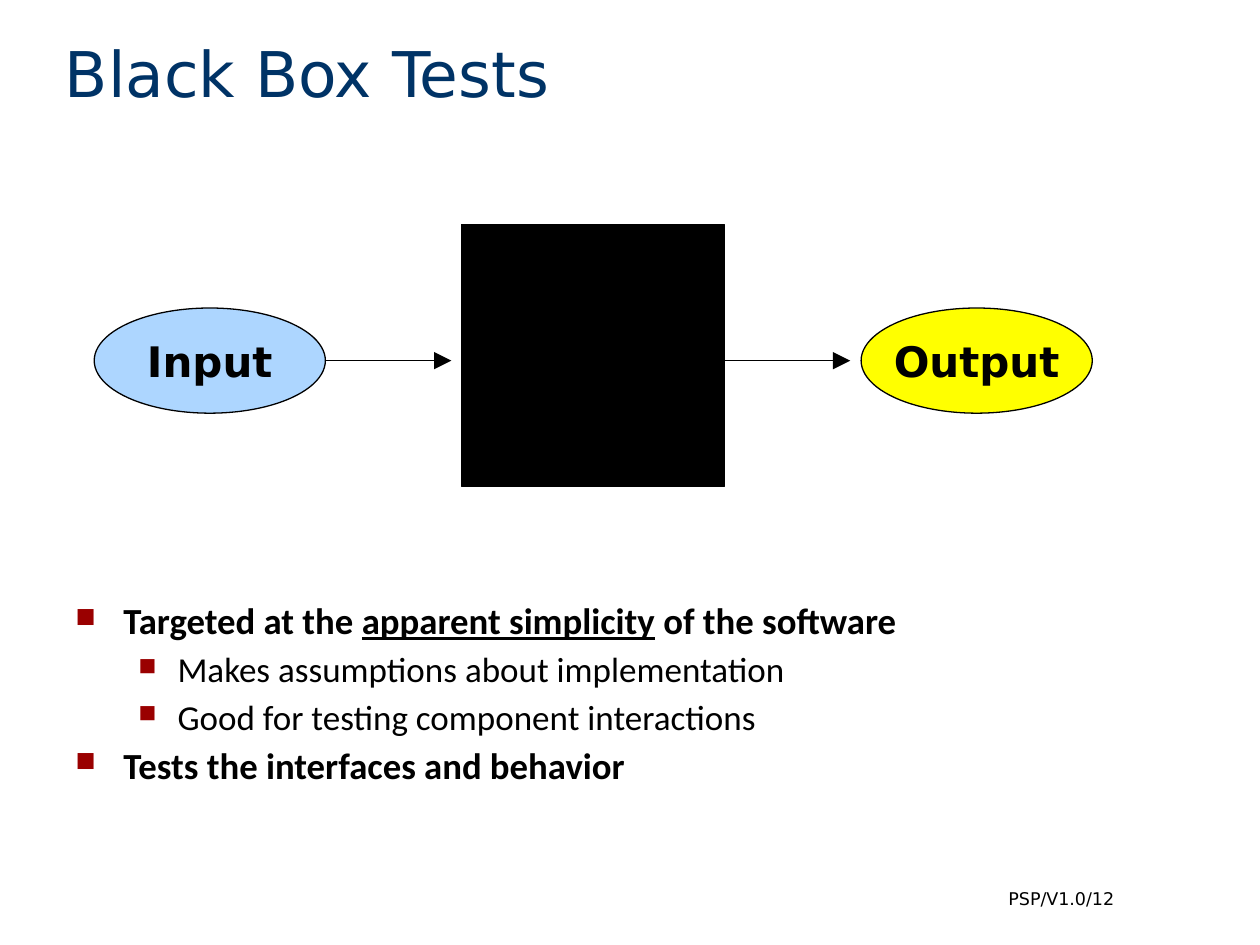
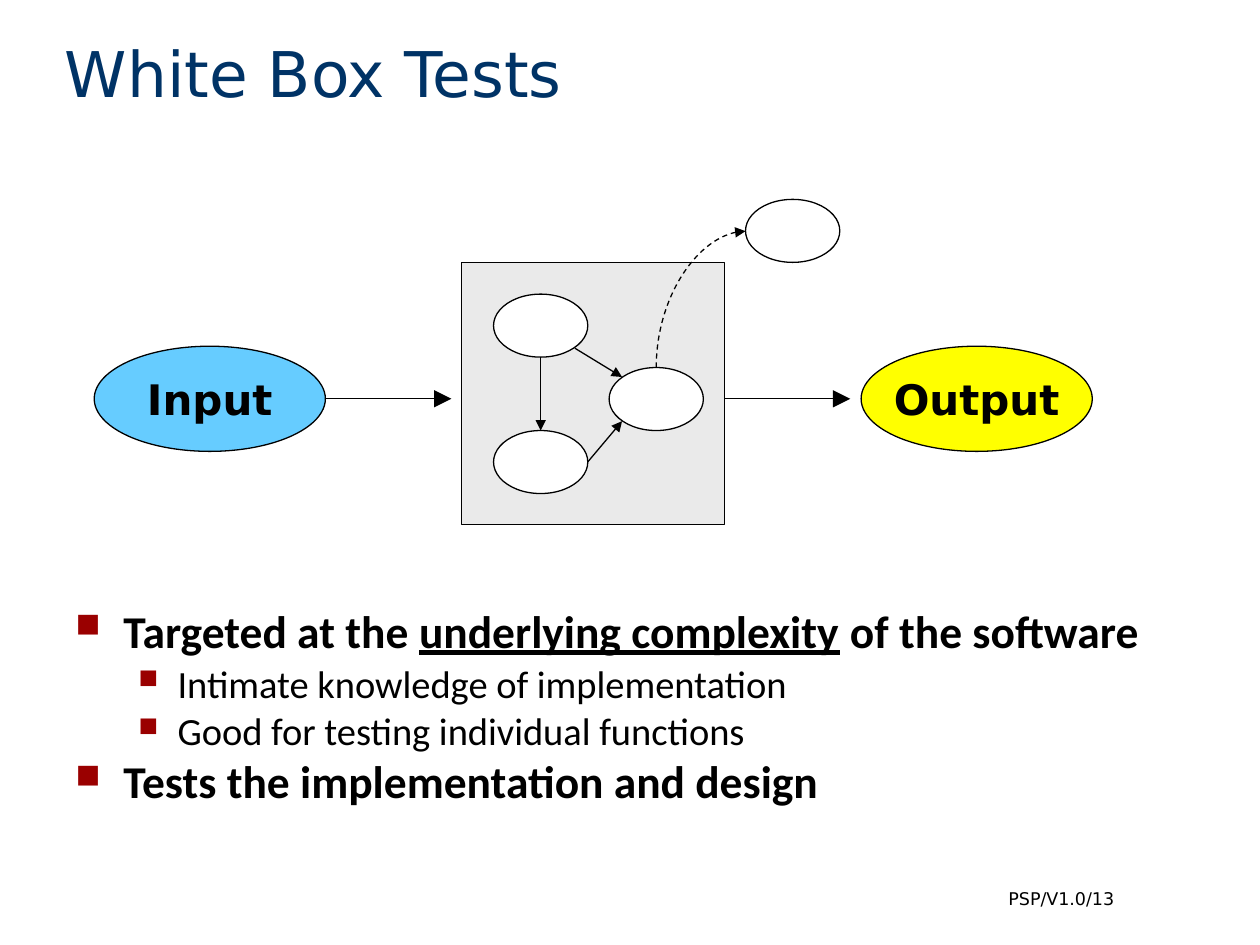
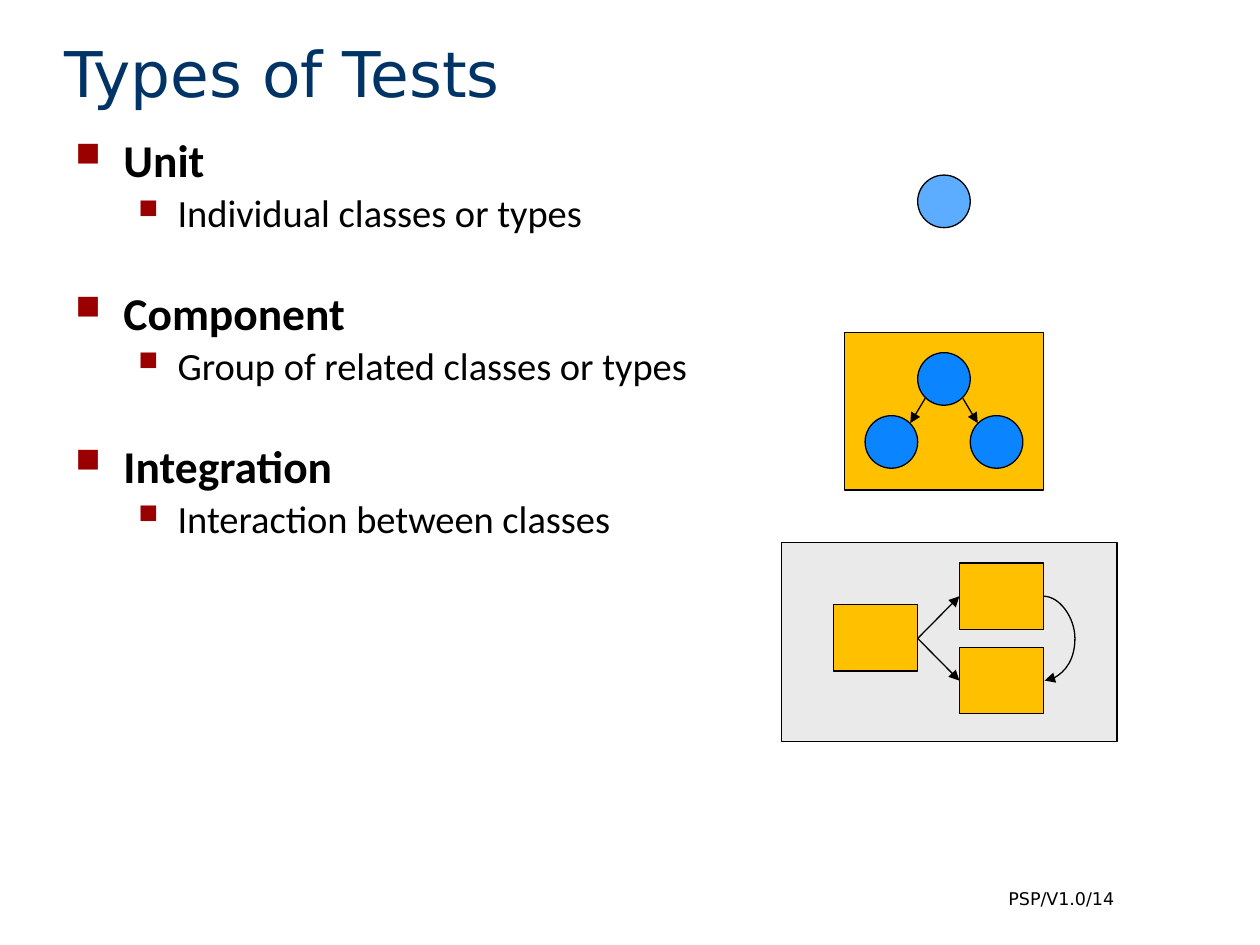
from dataclasses import dataclass

from lxml import etree
from pptx import Presentation
from pptx.dml.color import RGBColor
from pptx.enum.dml import MSO_LINE
from pptx.enum.shapes import MSO_CONNECTOR, MSO_SHAPE
from pptx.enum.text import MSO_ANCHOR, PP_ALIGN
from pptx.oxml.ns import qn
from pptx.shapes.autoshape import Shape
from pptx.shapes.connector import Connector
from pptx.slide import Slide
from pptx.text.text import Font
from pptx.util import Cm, Pt

RECT, OVAL = MSO_SHAPE.RECTANGLE, MSO_SHAPE.OVAL
STRAIGHT, CURVE = MSO_CONNECTOR.STRAIGHT, MSO_CONNECTOR.CURVE
LEFT, CENTER, RIGHT = PP_ALIGN.LEFT, PP_ALIGN.CENTER, PP_ALIGN.RIGHT
TOP, MIDDLE, BOTTOM = MSO_ANCHOR.TOP, MSO_ANCHOR.MIDDLE, MSO_ANCHOR.BOTTOM
DASH = MSO_LINE.DASH


@dataclass(frozen=True)
class Theme:
    head_font: str = "DejaVu Sans"
    body_font: str = "Calibri"
    title_size: float = 36
    label_size: float = 24
    foot_size: float = 10
    line_width: float = 0.75
    navy: str = "003366"
    black: str = "000000"
    white: str = "FFFFFF"
    red: str = "9A0000"
    gray: str = "EAEAEA"
    yellow: str = "FFFF00"
    amber: str = "FFC000"
    pale: str = "ADD6FF"
    sky: str = "66CCFF"
    light: str = "5CADFF"
    blue: str = "0A85FF"


@dataclass(frozen=True)
class Box:
    x: float
    y: float
    w: float
    h: float


@dataclass(frozen=True)
class Item:
    """One bullet; the second of its texts is underlined."""
    texts: tuple[str, ...]
    level: int = 0
    gap: float = 0


@dataclass(frozen=True)
class Body:
    """Bullet text: sizes per level, line spacing and top inset."""
    sizes: tuple[float, float]
    lines: float
    inset: float
    items: tuple[Item, ...]


Point = tuple[float, float]
THEME = Theme()
TITLE = Box(1.06, 0.56, 22.68, 1.78)
BODY = Box(1.27, 2.74, 23.16, 14.81)
FOOT = Box(18.9, 17.78, 3.81, 0.69)
INDENTS = ((0.97, 0.97), (2.06, 0.79))
MARKS = ("75000", "70000")


# Text
def style(font: Font, name: str, size: float, color: str, bold: bool = False) -> None:
    font.name, font.size, font.bold = name, Pt(size), bold
    font.color.rgb = RGBColor.from_string(color)


def add_text(slide: Slide, box: Box, text: str, size: float, color: str,
             align: PP_ALIGN = LEFT, anchor: MSO_ANCHOR = TOP) -> None:
    frame = slide.shapes.add_textbox(Cm(box.x), Cm(box.y), Cm(box.w), Cm(box.h)).text_frame
    frame.word_wrap, frame.vertical_anchor = True, anchor
    frame.text = text
    line = frame.paragraphs[0]
    line.alignment = align
    style(line.runs[0].font, THEME.head_font, size, color)


def add_body(slide: Slide, body: Body) -> None:
    frame = slide.shapes.add_textbox(Cm(BODY.x), Cm(BODY.y), Cm(BODY.w), Cm(BODY.h)).text_frame
    frame.word_wrap, frame.margin_top = True, Cm(body.inset)
    for index, item in enumerate(body.items):
        line = frame.add_paragraph() if index else frame.paragraphs[0]
        size = body.sizes[item.level]
        line.level, line.line_spacing = item.level, body.lines
        line.space_before = Pt(round(0.09 * size + item.gap, 1))
        line.space_after = Pt(round(0.18 * size, 1))
        for spot, text in enumerate(item.texts):
            run = line.add_run()
            run.text = text
            style(run.font, THEME.body_font, size, THEME.black, item.level == 0)
            run.font.underline = spot == 1
        # Square bullet with a hanging indent
        props = line._p.get_or_add_pPr()
        left, hang = INDENTS[item.level]
        props.set("marL", str(Cm(left)))
        props.set("indent", str(-Cm(hang)))
        color = etree.SubElement(props, qn("a:buClr"))
        etree.SubElement(color, qn("a:srgbClr"), val=THEME.red)
        etree.SubElement(props, qn("a:buSzPct"), val=MARKS[item.level])
        etree.SubElement(props, qn("a:buChar"), char="■")


# Shapes and arrows
def add_shape(slide: Slide, kind: MSO_SHAPE, box: Box, fill: str) -> Shape:
    shape = slide.shapes.add_shape(kind, Cm(box.x), Cm(box.y), Cm(box.w), Cm(box.h))
    shape.shadow.inherit = False
    shape.fill.solid()
    shape.fill.fore_color.rgb = RGBColor.from_string(fill)
    shape.line.color.rgb = RGBColor.from_string(THEME.black)
    shape.line.width = Pt(THEME.line_width)
    return shape


def add_label(slide: Slide, box: Box, fill: str, text: str) -> None:
    frame = add_shape(slide, OVAL, box, fill).text_frame
    frame.word_wrap, frame.vertical_anchor = False, MIDDLE
    frame.text = text
    line = frame.paragraphs[0]
    line.alignment = CENTER
    style(line.runs[0].font, THEME.head_font, THEME.label_size, THEME.black, True)


def add_arrow(slide: Slide, start: Point, end: Point, kind: MSO_CONNECTOR = STRAIGHT,
              head: str = "med", dashed: bool = False) -> Connector:
    arrow = slide.shapes.add_connector(kind, *(Cm(v) for v in start + end))
    arrow.line.color.rgb = RGBColor.from_string(THEME.black)
    arrow.line.width = Pt(THEME.line_width)
    if dashed:
        arrow.line.dash_style = DASH
    props = arrow._element.spPr
    etree.SubElement(props.find(qn("a:ln")), qn("a:tailEnd"), type="triangle", w=head, len=head)
    etree.SubElement(props, qn("a:effectLst"))
    return arrow


def add_bend(slide: Slide, start: Point, end: Point) -> None:
    """Dashed quarter curve that leaves upwards and arrives from the left."""
    arrow = add_arrow(slide, start, end, CURVE, dashed=True)
    wide, high = start[1] - end[1], end[0] - start[0]
    mid_x, mid_y = (start[0] + end[0]) / 2, (start[1] + end[1]) / 2
    props = arrow._element.spPr
    frame = props.find(qn("a:xfrm"))
    frame.attrib.clear()
    frame.set("rot", str(270 * 60000))
    arrow.left, arrow.top = Cm(mid_x - wide / 2), Cm(mid_y - high / 2)
    arrow.width, arrow.height = Cm(wide), Cm(high)
    props.find(qn("a:prstGeom")).set("prst", "curvedConnector2")


def add_loop(slide: Slide, start: Point, end: Point, bulge: float) -> None:
    """Curve that swings out to the right and comes back."""
    arrow = add_arrow(slide, start, end, CURVE)
    ratio = round(bulge / (end[0] - start[0]) * 100000)
    shape = arrow._element.spPr.find(qn("a:prstGeom"))
    guides = shape.find(qn("a:avLst"))
    if guides is None:
        guides = etree.SubElement(shape, qn("a:avLst"))
    etree.SubElement(guides, qn("a:gd"), name="adj1", fmla=f"val {ratio}")


def add_flow(slide: Slide, mid: float, fill: str, center: str) -> None:
    """Input, box and output in a row around the height mid."""
    wide, high = 4.66, 2.12
    for x, color, text in ((1.9, fill, "Input"), (17.36, THEME.yellow, "Output")):
        add_label(slide, Box(x, mid - high / 2, wide, high), color, text)
    add_shape(slide, RECT, Box(9.31, mid - 2.75, 5.29, 5.29), center)
    for x in (6.56, 14.6):
        add_arrow(slide, (x, mid), (x + 2.54, mid), head="lg")


# Slides
deck = Presentation()
deck.slide_width, deck.slide_height = Cm(25.4), Cm(19.05)


def add_slide(title: str, number: int, body: Body) -> Slide:
    slide = deck.slides.add_slide(deck.slide_layouts[6])
    add_text(slide, FOOT, f"PSP/V1.0/{number}", THEME.foot_size, THEME.black, RIGHT)
    add_text(slide, TITLE, title, THEME.title_size, THEME.navy, anchor=BOTTOM)
    add_body(slide, body)
    return slide


# Black box
black = add_slide("Black Box Tests", 12, Body((21, 20), 0.9, 9.42, (
    Item(("Targeted at the ", "apparent simplicity", " of the software")),
    Item(("Makes assumptions about implementation",), 1),
    Item(("Good for testing component interactions",), 1),
    Item(("Tests the interfaces and behavior",)),
)))
add_flow(black, 7.27, THEME.pale, THEME.black)

# White box
white = add_slide("White Box Tests", 13, Body((26, 22), 0.8, 9.62, (
    Item(("Targeted at the ", "underlying complexity", " of the software")),
    Item(("Intimate knowledge of implementation",), 1),
    Item(("Good for testing individual functions",), 1),
    Item(("Tests the implementation and design",)),
)))
add_flow(white, 8.04, THEME.sky, THEME.gray)
for x, y in ((9.95, 5.93), (9.95, 8.68), (12.28, 7.41), (15.03, 4.02)):
    add_shape(white, OVAL, Box(x, y, 1.9, 1.27), THEME.white)
for start, end in (((10.9, 7.2), (10.9, 8.68)),
                   ((11.59, 7.02), (12.54, 7.6)),
                   ((11.85, 9.31), (12.54, 8.49))):
    add_arrow(white, start, end)
add_bend(white, (13.23, 7.41), (15.03, 4.66))

# Types of tests
GAP = 28.3
types = add_slide("Types of Tests", 14, Body((26, 22), 0.8, 0.13, (
    Item(("Unit",)),
    Item(("Individual classes or types",), 1),
    Item(("Component",), gap=GAP),
    Item(("Group of related classes or types",), 1),
    Item(("Integration",), gap=GAP),
    Item(("Interaction between classes",), 1),
)))

# Unit and component: one circle, then three in a frame
DOT, AXIS = 1.06, 19.03
add_shape(types, OVAL, Box(AXIS - DOT / 2, 3.53, DOT, DOT), THEME.light)
add_shape(types, RECT, Box(17.02, 6.7, 4.02, 3.18), THEME.amber)
for shift, y in ((0, 7.11), (-DOT, 8.38), (DOT, 8.38)):
    add_shape(types, OVAL, Box(AXIS + shift - DOT / 2, y, DOT, DOT), THEME.blue)
for side in (-1, 1):
    add_arrow(types, (AXIS + side * 0.38, 8.03), (AXIS + side * 0.68, 8.53))

# Integration: three linked components
add_shape(types, RECT, Box(15.75, 10.93, 6.77, 4.02), THEME.gray)
for x, y in ((16.8, 12.19), (19.34, 11.35), (19.34, 13.05)):
    add_shape(types, RECT, Box(x, y, 1.7, 1.34), THEME.amber)
for y in (12.02, 13.72):
    add_arrow(types, (18.5, 12.87), (19.34, y))
add_loop(types, (21.04, 12.02), (21.06, 13.72), 0.63)

deck.save("out.pptx")
